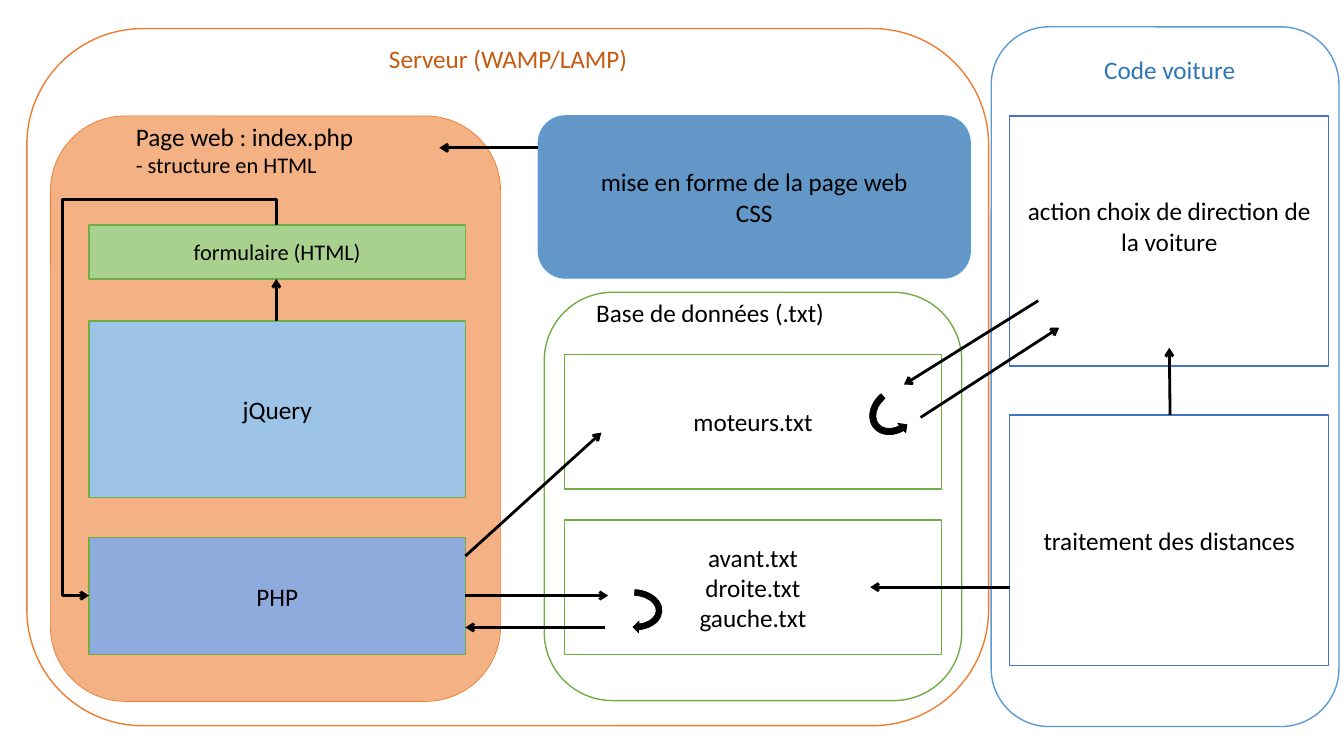
from pptx import Presentation
from pptx.dml.color import RGBColor
from pptx.enum.shapes import MSO_CONNECTOR, MSO_SHAPE
from pptx.enum.text import MSO_ANCHOR, PP_ALIGN
from pptx.oxml.ns import qn
from pptx.util import Inches, Pt
from lxml.etree import SubElement

INK = {
    "white": "FFFFFF", "black": "000000", "orange": "ED7D31", "peach": "F4B183",
    "rust": "C55A11", "sky": "5B9BD5", "blue": "4472C4", "deep": "2E75B6",
    "green": "70AD47", "lime": "A9D18E", "pale": "9DC3E6", "slate": "8FAADC",
}
CELL = Inches(1) / 12  # the slide is a grid of 160 columns by 90 rows


def grid(*cells):
    """Turn grid cells into slide lengths."""
    return [round(cell * CELL) for cell in cells]


def color(name):
    """Look up a named colour."""
    return RGBColor.from_string(INK[name])


def write(shape, lines, sizes=(18,), ink="black", align=PP_ALIGN.CENTER,
          anchor=MSO_ANCHOR.MIDDLE, foot=0.05):
    """Fill a shape with lines of text; the last size serves all later lines."""
    frame = shape.text_frame
    frame.word_wrap = True
    frame.vertical_anchor = anchor
    frame.margin_bottom = Inches(foot)
    for i, line in enumerate(lines):
        para = frame.paragraphs[0] if i == 0 else frame.add_paragraph()
        para.alignment = align
        run = para.add_run()
        run.text = line
        run.font.name = "Calibri"
        run.font.size = Pt(sizes[min(i, len(sizes) - 1)])
        run.font.color.rgb = color(ink)


class Board:
    """Holds the slide and draws each kind of element on it."""

    def __init__(self, slide):
        """Keep the shapes of the current slide."""
        self.shapes = slide.shapes

    def box(self, place, fill, edge, *lines, kind=MSO_SHAPE.RECTANGLE,
            width=1, alpha=None, **style):
        """Draw a filled, outlined shape with optional text."""
        shape = self.shapes.add_shape(kind, *grid(*place))
        shape.shadow.inherit = False
        shape.fill.solid()
        shape.fill.fore_color.rgb = color(fill)
        if alpha:
            tint = shape._element.spPr.find(qn("a:solidFill"))[0]
            SubElement(tint, qn("a:alpha")).set("val", str(alpha * 1000))
        shape.line.color.rgb = color(edge)
        shape.line.width = Pt(width)
        write(shape, lines, **style)
        return shape

    def panel(self, *args, **style):
        """Draw a rounded box."""
        self.box(*args, kind=MSO_SHAPE.ROUNDED_RECTANGLE, **style)

    def label(self, place, *lines, **style):
        """Place free text."""
        write(self.shapes.add_textbox(*grid(*place)), lines,
              anchor=MSO_ANCHOR.TOP, **style)

    def arrow(self, start, end, kind=MSO_CONNECTOR.STRAIGHT):
        """Draw a black line with an open head at its end."""
        link = self.shapes.add_connector(kind, *grid(*start, *end))
        link.line.color.rgb = color("black")
        link.line.width = Pt(2)
        SubElement(link.line._get_or_add_ln(), qn("a:tailEnd")).set("type", "arrow")
        SubElement(link._element.spPr, qn("a:effectLst"))
        return link

    def detour(self, start, end, rise, out):
        """Draw an arrow that goes up, left past its end, down and back in."""
        (x1, y1), (x2, y2) = start, end
        long, wide = y2 - y1, x1 - x2
        left, top = (x1 + x2 - long) / 2, (y1 + y2 - wide) / 2
        link = self.arrow((left, top), (left + long, top + wide),
                          MSO_CONNECTOR.ELBOW)
        link._element.spPr.xfrm.set("rot", str(90 * 60000))
        shape = link._element.spPr.find(qn("a:prstGeom"))
        shape.set("prst", "bentConnector4")
        guides = shape.find(qn("a:avLst"))
        if guides is None:
            guides = SubElement(shape, qn("a:avLst"))
        for name, share in (("adj1", -rise / long), ("adj2", 1 + out / wide)):
            guide = SubElement(guides, qn("a:gd"))
            guide.set("name", name)
            guide.set("fmla", f"val {round(share * 100000)}")

    def loop(self, place, turn, flip=False):
        """Draw a black circular arrow."""
        shape = self.box(place, "black", "black",
                         kind=MSO_SHAPE.CIRCULAR_ARROW, width=0.5)
        shape.rotation = turn
        if flip:
            shape._element.spPr.xfrm.set("flipH", "1")


deck = Presentation()
deck.slide_width, deck.slide_height = grid(160, 90)
board = Board(deck.slides.add_slide(deck.slide_layouts[6]))

# Zones
board.panel((3.2, 3.4, 114.5, 83), "white", "orange")
board.panel((118, 3.2, 41.4, 83.3), "white", "sky")
board.panel((6, 13.8, 53.6, 69.7), "peach", "orange", width=0.5)
board.panel((64.8, 34.8, 49.7, 48.6), "white", "green")
board.panel((64.1, 13.8, 51.4, 19.3), "deep", "sky",
            "mise en forme de la page web", "CSS", alpha=75)

# Zone titles
board.label((39.6, 4.6, 41.8, 4.8), "Serveur (WAMP/LAMP)", ink="rust")
board.label((123, 5.9, 32.5, 4.8), "Code voiture", ink="deep")
board.label((15, 13.8, 43.2, 8), "Page web : index.php", "- structure en HTML",
            sizes=(18, 16), align=PP_ALIGN.LEFT)
board.label((69.8, 34.8, 38.3, 4.8), "Base de données (.txt)",
            align=PP_ALIGN.LEFT)

# Car code
board.box((120.2, 13.8, 38, 29.8), "white", "blue",
          "action choix de direction de la voiture", foot=0.35)
board.box((120.2, 49.4, 38, 29.8), "white", "blue", "traitement des distances")

# Web page parts
for top, tall, fill, text, size in (
        (26.8, 6.4, "lime", "formulaire (HTML)", 16),
        (38.2, 21, "pale", "jQuery", 18),
        (64, 13.9, "slate", "PHP", 18)):
    board.box((10.6, top, 44.8, tall), fill, "green", text, sizes=(size,))

# Data files
for top, files in ((42.2, ["moteurs.txt"]),
                   (61.9, ["avant.txt", "droite.txt", "gauche.txt"])):
    board.box((67.2, top, 44.9, 16), "white", "green", *files)

# Flows
board.detour((32.9, 26.8), (10.6, 70.9), rise=3.1, out=3.2)
for start, end in (
        ((32.9, 38.2), (32.9, 33.2)),      # jQuery to form
        ((55.4, 66.2), (71.6, 51.5)),      # PHP to motors
        ((55.4, 70.9), (72.4, 70.9)),      # PHP to distances
        ((72, 74.7), (55.4, 74.7)),        # distances to PHP
        ((109.6, 49.7), (126.1, 39)),      # motors to action
        ((123.6, 35.8), (107.6, 45.8)),    # action to motors
        ((120.2, 69.9), (103.6, 69.9)),    # sensing to distances
        ((64, 17.6), (52.3, 17.6)),        # CSS to page
        ((139.3, 49.4), (139.2, 41.4))):   # sensing to action
    board.arrow(start, end)
board.loop((72.7, 68.9, 5.5, 7.4), 93)
board.loop((103.6, 45.2, 5.9, 7.3), 230, flip=True)

deck.save("out.pptx")
